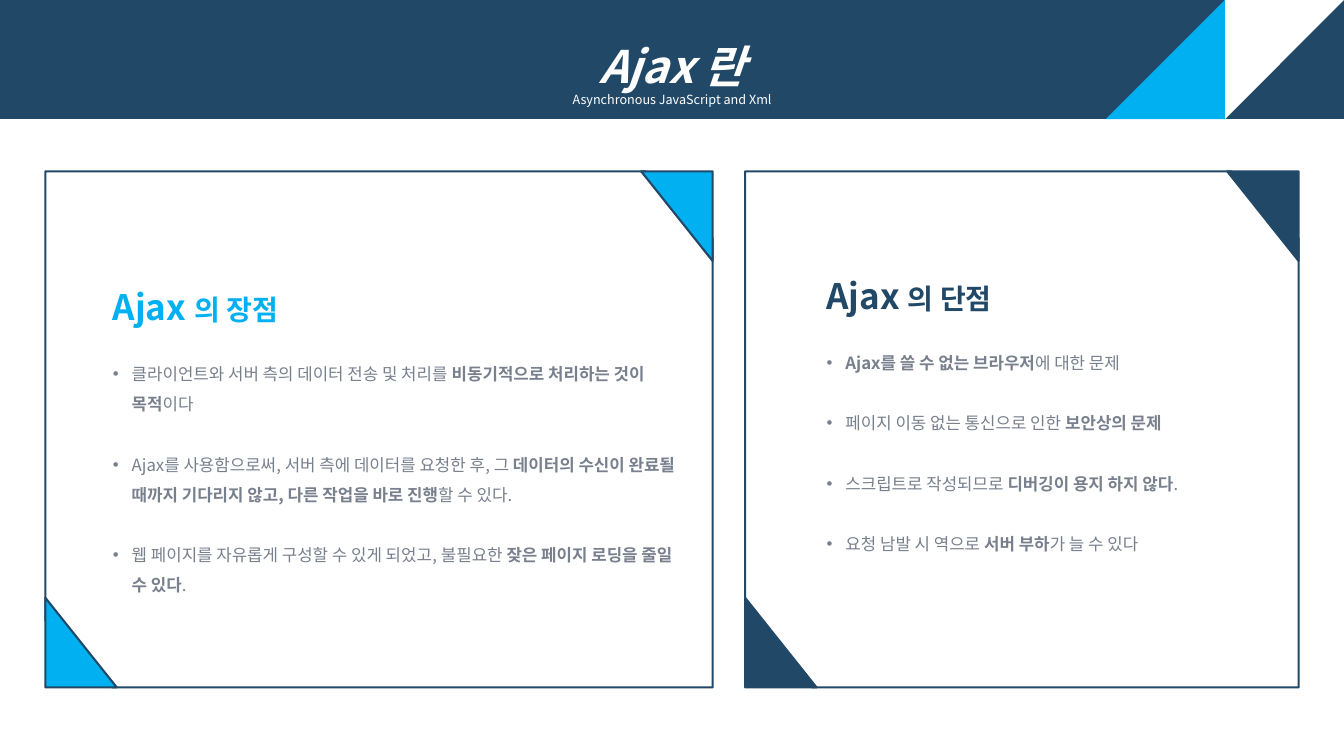
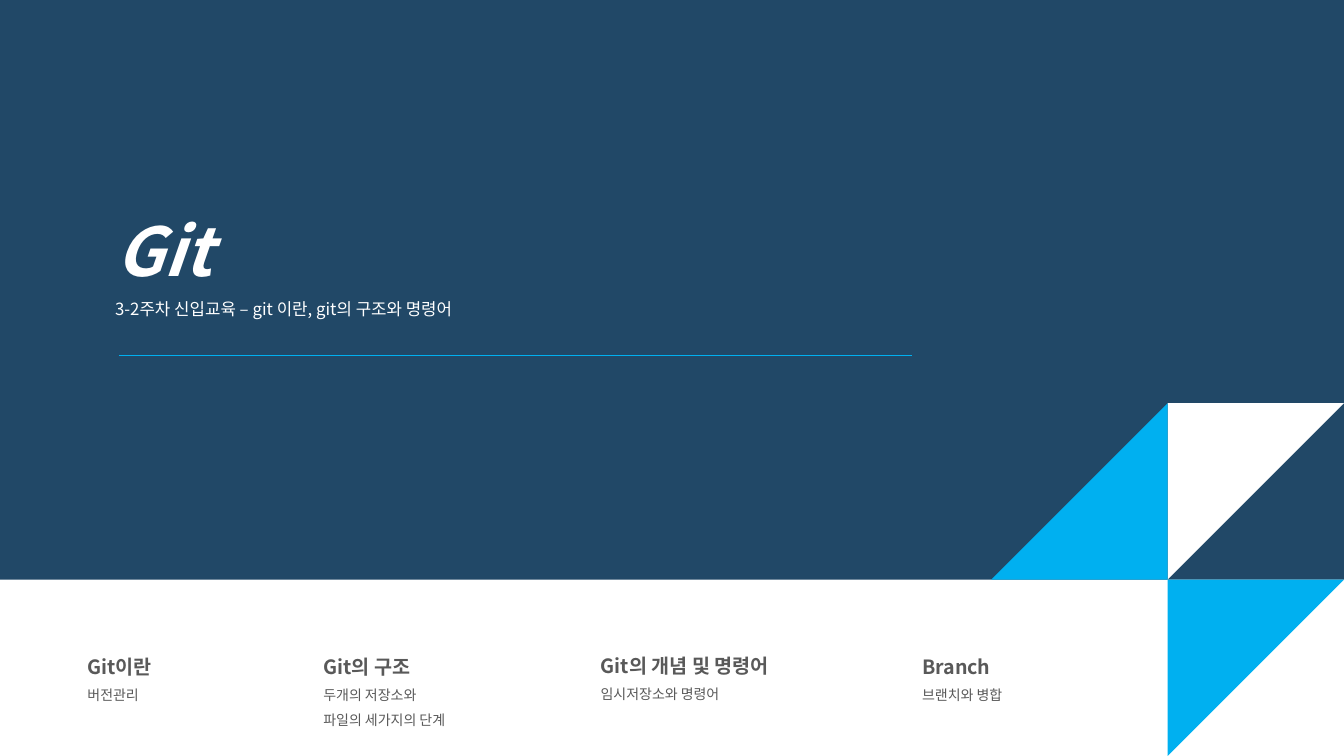
from dataclasses import dataclass

from lxml.etree import SubElement
from pptx import Presentation
from pptx.dml.color import RGBColor
from pptx.enum.shapes import MSO_CONNECTOR, MSO_SHAPE
from pptx.enum.text import MSO_ANCHOR, MSO_AUTO_SIZE, PP_ALIGN
from pptx.oxml.ns import qn
from pptx.util import Pt

NAVY = RGBColor(0x21, 0x48, 0x67)
BLUE = RGBColor(0x00, 0xB0, 0xF0)
WHITE = RGBColor(0xFF, 0xFF, 0xFF)
SLATE = RGBColor(0x78, 0x80, 0x8D)
GRAY = RGBColor(0x59, 0x59, 0x59)
FONT = "Noto Sans CJK KR"
WIDTH, HEIGHT = 960, 540
BAND_H = 85
CARD_TOP, CARD_H = 122.4, 368.6
CORNER_W, CORNER_H = 51, 64
COVER_SPLIT, COVER_TILE = 414, 126
BULLET_INDENT = 13.5


@dataclass(frozen=True)
class Box:
    x: float
    y: float
    w: float
    h: float


@dataclass(frozen=True)
class Run:
    text: str
    size: float
    color: RGBColor
    bold: bool = False
    italic: bool = False


@dataclass(frozen=True)
class Para:
    runs: tuple[Run, ...]
    spacing: float = 1.5
    before: float = 0
    bullet: bool = False
    align: PP_ALIGN = PP_ALIGN.LEFT


@dataclass(frozen=True)
class Card:
    x: float
    w: float
    accent: RGBColor
    text_box: Box
    topic: str
    points: tuple[tuple[Run, ...], ...]


@dataclass(frozen=True)
class Chapter:
    x: float
    y: float
    w: float
    name: str
    details: tuple[str, ...]


def plain(text: str) -> Run:
    return Run(text, 12, SLATE)


def strong(text: str) -> Run:
    return Run(text, 12, SLATE, bold=True)


CARDS = (
    Card(32.4, 476.6, BLUE, Box(73.4, 137.5, 417.6, 339), "의 장점", (
        (plain("클라이언트와 서버 측의 데이터 전송 및 처리를 "),
         strong("비동기적으로 처리하는 것이 목적"), plain("이다")),
        (plain("Ajax를 사용함으로써, 서버 측에 데이터를 요청한 후, 그 "),
         strong("데이터의 수신이 완료될 때까지 기다리지 않고, 다른 작업을 바로 진행"),
         plain("할 수 있다.")),
        (plain("웹 페이지를 자유롭게 구성할 수 있게 되었고, 불필요한 "),
         strong("잦은 페이지 로딩을 줄일 수 있다"), plain(".")),
    )),
    Card(532.2, 395.4, NAVY, Box(583.2, 137.5, 327.6, 301.7), "의 단점", (
        (strong("Ajax를 쓸 수 없는 브라우저"), plain("에 대한 문제")),
        (plain("페이지 이동 없는 통신으로 인한 "), strong("보안상의 문제")),
        (plain("스크립트로 작성되므로 "), strong("디버깅이 용지 하지 않다"), plain(".")),
        (plain("요청 남발 시 역으로 "), strong("서버 부하"), plain("가 늘 수 있다")),
    )),
)

CHAPTERS = (
    Chapter(55.4, 455.8, 132.5, "Git이란", ("버전관리",)),
    Chapter(223.9, 455.8, 210, "Git의 구조", ("두개의 저장소와", "파일의 세가지의 단계")),
    Chapter(422, 455, 160.6, "Git의 개념 및 명령어", ("임시저장소와 명령어",)),
    Chapter(651.6, 455.8, 117.4, "Branch", ("브랜치와 병합",)),
)


def add_shape(slide, kind: MSO_SHAPE, box: Box, fill: RGBColor,
              line: RGBColor | None = None, rotation: float = 0):
    sp = slide.shapes.add_shape(kind, Pt(box.x), Pt(box.y), Pt(box.w), Pt(box.h))
    sp.shadow.inherit = False
    sp.rotation = rotation
    sp.fill.solid()
    sp.fill.fore_color.rgb = fill
    if line is None:
        sp.line.fill.background()
    else:
        sp.line.color.rgb = line
        sp.line.width = Pt(1.5)
    return sp


def add_run(p, run: Run) -> None:
    r = p.add_run()
    r.text = run.text
    r.font.name = FONT
    r.font.size = Pt(run.size)
    r.font.bold = run.bold
    r.font.italic = run.italic
    r.font.color.rgb = run.color
    SubElement(r.font._element, qn("a:ea")).set("typeface", FONT)


def write(sp, paras: list[Para], anchor: MSO_ANCHOR = MSO_ANCHOR.TOP) -> None:
    tf = sp.text_frame
    tf.word_wrap = True
    tf.auto_size = MSO_AUTO_SIZE.NONE
    tf.vertical_anchor = anchor
    for i, para in enumerate(paras):
        p = tf.add_paragraph() if i else tf.paragraphs[0]
        p.alignment = para.align
        p.line_spacing = para.spacing
        p.space_before = Pt(para.before)
        pPr = p._p.get_or_add_pPr()
        indent = Pt(BULLET_INDENT) if para.bullet else 0
        pPr.set("marL", str(indent))
        pPr.set("indent", str(-indent))
        if para.bullet:
            SubElement(pPr, qn("a:buChar")).set("char", "•")
        else:
            SubElement(pPr, qn("a:buNone"))
        for run in para.runs:
            add_run(p, run)


def place(sp, box: Box) -> None:
    """Move a placeholder to its box and in front of the shapes drawn so far."""
    sp.left, sp.top, sp.width, sp.height = Pt(box.x), Pt(box.y), Pt(box.w), Pt(box.h)
    sp.element.getparent().append(sp.element)


def add_tiles(slide, y: float, size: float) -> None:
    """Draw the white and blue triangles at the right edge."""
    for column, color, rotation in ((1, WHITE, 90), (2, BLUE, 270)):
        add_shape(slide, MSO_SHAPE.RIGHT_TRIANGLE,
                  Box(WIDTH - column * size, y, size, size), color, rotation=rotation)


def add_card(slide, card: Card, body) -> None:
    frame = add_shape(slide, MSO_SHAPE.SNIP_2_DIAG_RECTANGLE,
                      Box(card.x, CARD_TOP, card.w, CARD_H), WHITE, NAVY)
    frame.adjustments[0], frame.adjustments[1] = 0, 0.13
    corners = ((card.x + card.w - CORNER_W, CARD_TOP, 180),
               (card.x, CARD_TOP + CARD_H - CORNER_H, 0))
    for x, y, rotation in corners:
        add_shape(slide, MSO_SHAPE.RIGHT_TRIANGLE, Box(x, y, CORNER_W, CORNER_H),
                  card.accent, NAVY, rotation)
    place(body, card.text_box)
    heading = Para((Run("Ajax ", 25, card.accent, bold=True),
                    Run(card.topic, 20, card.accent, bold=True)))
    points = [Para(runs, before=21.5 if i else 18.7, bullet=True)
              for i, runs in enumerate(card.points)]
    write(body, [heading, *points], MSO_ANCHOR.MIDDLE)


def build_ajax(prs) -> None:
    slide = prs.slides.add_slide(prs.slide_layouts[3])
    title, *bodies = slide.placeholders
    band = Box(0, 0, WIDTH, BAND_H)
    add_shape(slide, MSO_SHAPE.RECTANGLE, band, NAVY)
    add_tiles(slide, 0, BAND_H)
    place(title, band)
    write(title, [
        Para((Run("Ajax 란", 32, WHITE, bold=True, italic=True),), align=PP_ALIGN.CENTER),
        Para((Run("Asynchronous JavaScript and Xml", 9, WHITE),), 1, align=PP_ALIGN.CENTER),
    ], MSO_ANCHOR.MIDDLE)
    for card, body in zip(CARDS, bodies):
        add_card(slide, card, body)


def add_chapter(slide, chapter: Chapter) -> None:
    height = 30 + 18 * len(chapter.details)
    sp = slide.shapes.add_textbox(Pt(chapter.x), Pt(chapter.y), Pt(chapter.w), Pt(height))
    write(sp, [Para((Run(chapter.name, 14, GRAY, bold=True),)),
               *(Para((Run(detail, 10, GRAY),)) for detail in chapter.details)])


def build_git_cover(prs) -> None:
    slide = prs.slides.add_slide(prs.slide_layouts[0])
    slide.background.fill.solid()
    slide.background.fill.fore_color.rgb = NAVY
    title, subtitle = slide.placeholders
    add_shape(slide, MSO_SHAPE.RECTANGLE,
              Box(0, COVER_SPLIT, WIDTH, HEIGHT - COVER_SPLIT), WHITE)
    add_tiles(slide, COVER_SPLIT - COVER_TILE, COVER_TILE)
    add_shape(slide, MSO_SHAPE.RIGHT_TRIANGLE,
              Box(WIDTH - COVER_TILE, COVER_SPLIT, COVER_TILE, COVER_TILE), BLUE, rotation=90)
    place(title, Box(75, 117.4, 728, 85.3))
    write(title, [Para((Run("Git", 48, WHITE, bold=True, italic=True),))])
    place(subtitle, Box(75, 202.7, 728, 28.5))
    write(subtitle, [Para((Run("3-2주차 신입교육 – git 이란, git의 구조와 명령어", 12, WHITE),))])
    rule = slide.shapes.add_connector(MSO_CONNECTOR.STRAIGHT, Pt(85), Pt(254), Pt(651.6), Pt(254))
    rule.line.color.rgb = BLUE
    rule.line.width = Pt(1)
    SubElement(rule.element.spPr, qn("a:effectLst"))
    for chapter in CHAPTERS:
        add_chapter(slide, chapter)


def main() -> None:
    prs = Presentation()
    prs.slide_width, prs.slide_height = Pt(WIDTH), Pt(HEIGHT)
    build_ajax(prs)
    build_git_cover(prs)
    prs.save("out.pptx")


if __name__ == "__main__":
    main()
